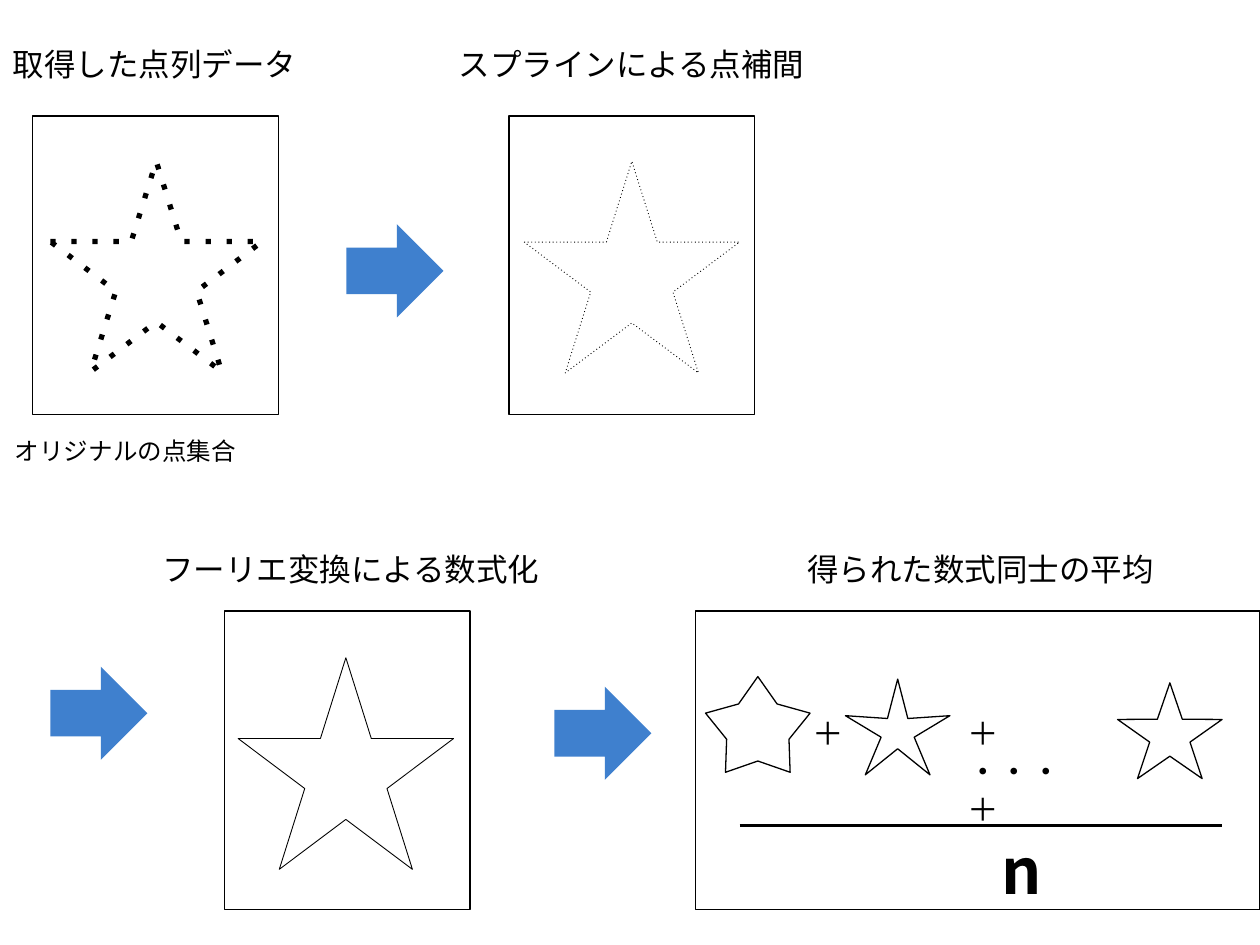
from lxml import etree
from pptx import Presentation
from pptx.dml.color import RGBColor
from pptx.enum.dml import MSO_LINE
from pptx.enum.shapes import MSO_CONNECTOR, MSO_SHAPE
from pptx.enum.text import MSO_AUTO_SIZE, PP_ALIGN
from pptx.oxml.ns import qn
from pptx.util import Emu, Pt

PX = 9144  # 100 px to the inch
BLACK = RGBColor(0x00, 0x00, 0x00)
WHITE = RGBColor(0xFF, 0xFF, 0xFF)
BLUE = RGBColor(0x3F, 0x80, 0xCE)
JP_FONT = "Noto Sans CJK JP"
LATIN_FONT = "Calibri"
RECT, STAR, ARROW = MSO_SHAPE.RECTANGLE, MSO_SHAPE.STAR_5_POINT, MSO_SHAPE.RIGHT_ARROW
STRAIGHT = MSO_CONNECTOR.STRAIGHT
DOTTED = MSO_LINE.ROUND_DOT
FIT_SHAPE = MSO_AUTO_SIZE.SHAPE_TO_FIT_TEXT
LEFT, CENTER = PP_ALIGN.LEFT, PP_ALIGN.CENTER


def emu(*lengths):
    return [Emu(n * PX) for n in lengths]


class Sketch:
    def __init__(self, slide):
        self.shapes = slide.shapes

    def shape(self, kind, box, fill=WHITE, line=0.75):
        """Add a preset shape; fill or line may be None."""
        sp = self.shapes.add_shape(kind, *emu(*box))
        sp.shadow.inherit = False
        if fill is None:
            sp.fill.background()
        else:
            sp.fill.solid()
            sp.fill.fore_color.rgb = fill
        if line is None:
            sp.line.fill.background()
        else:
            sp.line.color.rgb = BLACK
            sp.line.width = Pt(line)
        return sp

    def panel(self, x, y, w=195):
        self.shape(RECT, (x, y, w, 237))

    def arrow(self, x, y):
        self.shape(ARROW, (x, y, 77, 74), BLUE, None)

    def star(self, box, fill=WHITE, line=0.75, depth=None, dotted=False):
        sp = self.shape(STAR, box, fill, line)
        if depth is not None:
            sp.adjustments[0] = depth
        if dotted:
            sp.line.dash_style = DOTTED
            sp._element.find(".//" + qn("a:prstDash")).set("val", "dot")

    def text(self, box, text, size=18, font=JP_FONT, align=LEFT, bold=False, wrap=False):
        tf = self.shapes.add_textbox(*emu(*box)).text_frame
        tf.word_wrap = wrap
        tf.auto_size = FIT_SHAPE
        p = tf.paragraphs[0]
        p.alignment = align
        r = p.add_run()
        r.text = text
        r.font.size = Pt(size)
        r.font.bold = bold
        r.font.color.rgb = BLACK
        r.font.name = font
        etree.SubElement(r.font._element, qn("a:ea"), typeface=font)

    def title(self, x, y, w, text):
        self.text((x, y, w, 40), text, align=CENTER)

    def rule(self, x1, x2, y):
        line = self.shapes.add_connector(STRAIGHT, *emu(x1, y, x2, y))
        line.line.color.rgb = BLACK
        line.line.width = Pt(2)
        etree.SubElement(line._element.spPr, qn("a:effectLst"))


def main():
    prs = Presentation()
    prs.slide_width, prs.slide_height = emu(1000, 750)
    s = Sketch(prs.slides.add_slide(prs.slide_layouts[6]))

    # Captured points
    s.panel(26, 92)
    s.title(-1, 31, 247, "取得した点列データ")
    s.star((40, 128, 168, 167), line=3, dotted=True)
    s.text((2, 341, 197, 34), "オリジナルの点集合", size=14)

    # Spline interpolation
    s.arrow(275, 178)
    s.panel(404, 92)
    s.title(352, 31, 298, "スプラインによる点補間")
    s.star((416, 128, 171, 168), fill=None, line=0.5, dotted=True)

    # Fourier transform
    s.arrow(40, 529)
    s.title(117, 432, 323, "フーリエ変換による数式化")
    s.panel(178, 485)
    s.star((189, 522, 171, 168), fill=None, line=0.5)

    # Average of the formulas
    s.arrow(440, 545)
    s.panel(552, 485, 448)
    s.title(629, 432, 298, "得られた数式同士の平均")
    for x, y, depth in ((560, 537, 0.298), (671, 539, 0.158), (887, 542, 0.193)):
        s.star((x, y, 83, 76), depth=depth)
    s.text((635, 562, 45, 40), "＋", font=LATIN_FONT)
    s.text((758, 562, 124, 40), "＋ ・・・ ＋", font=LATIN_FONT, wrap=True)
    s.rule(587, 970, 655)
    s.text((783, 655, 55, 71), "n", size=36, align=CENTER, bold=True)

    prs.save("out.pptx")


if __name__ == "__main__":
    main()
